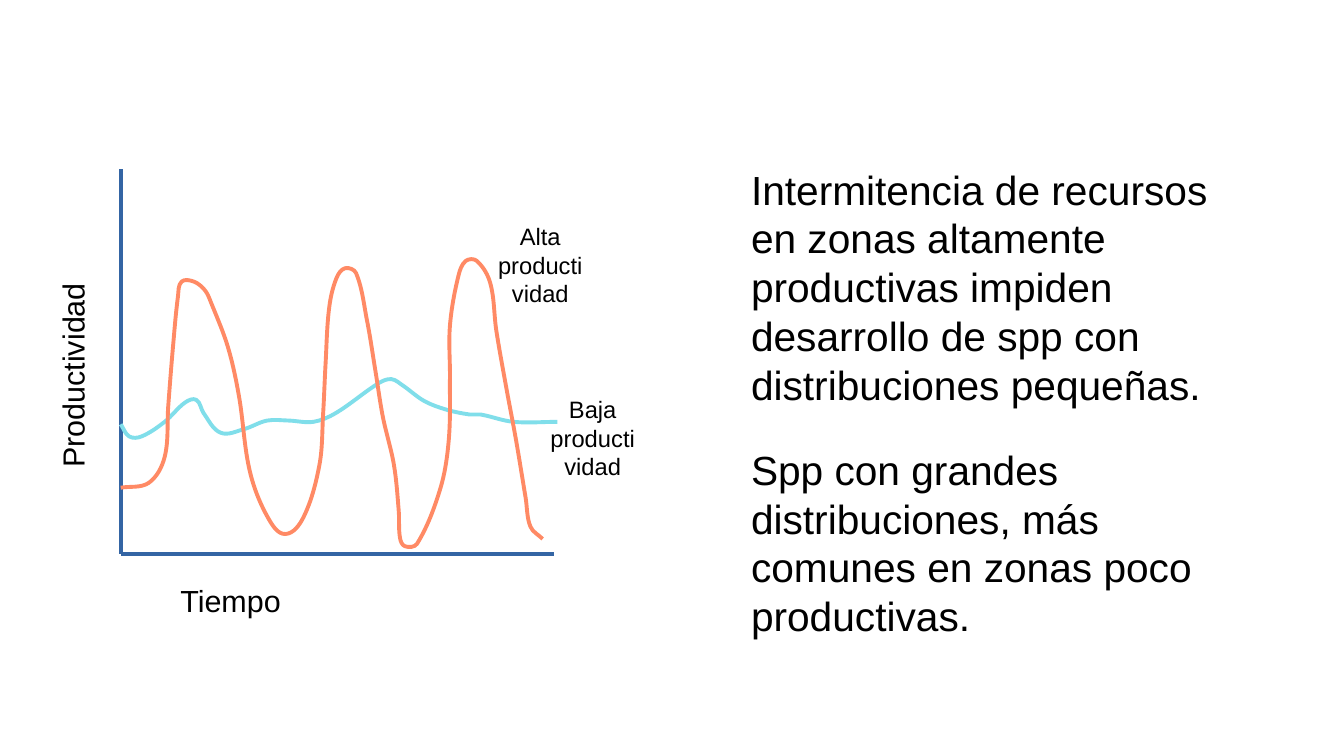
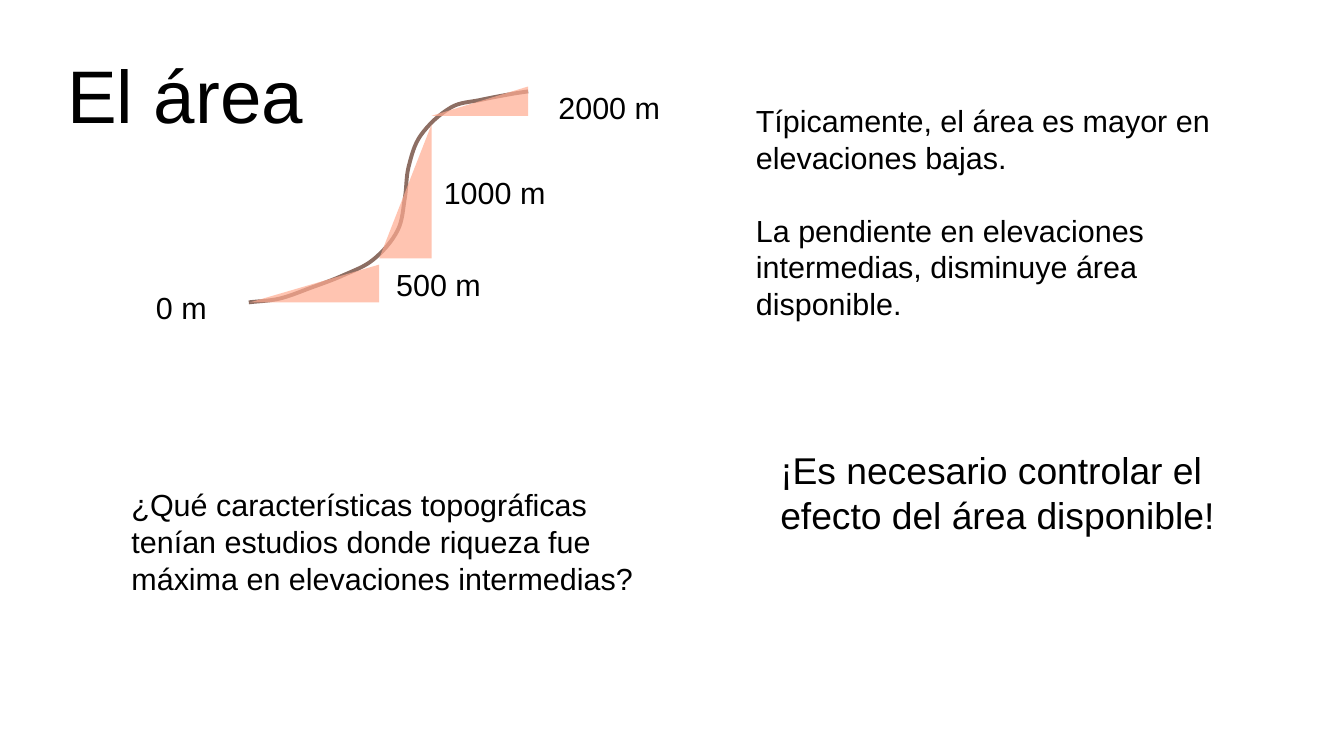
from itertools import pairwise
from math import dist

from lxml import etree
from pptx import Presentation
from pptx.dml.color import RGBColor
from pptx.enum.shapes import MSO_CONNECTOR, MSO_SHAPE
from pptx.enum.text import MSO_ANCHOR, MSO_AUTO_SIZE, PP_ALIGN
from pptx.oxml.ns import qn
from pptx.util import Inches, Pt

STRAIGHT = MSO_CONNECTOR.STRAIGHT
RIGHT_TRIANGLE = MSO_SHAPE.RIGHT_TRIANGLE
MIDDLE = MSO_ANCHOR.MIDDLE
GROW, FIXED = MSO_AUTO_SIZE.SHAPE_TO_FIT_TEXT, MSO_AUTO_SIZE.NONE
LEFT, CENTER = PP_ALIGN.LEFT, PP_ALIGN.CENTER

CELL = Inches(0.01)
COLS, ROWS = 1102, 620
TITLE_ONLY, BLANK = 5, 6

FONT = "Arial"
SIZES = {"title": 44, "large": 24, "callout": 22, "body": 18, "label": 14}
COLORS = {"text": "000000", "axis": "3465A4", "low": "80DEEA",
          "high": "FF8A65", "slope": "8D6E63", "step": "FFAB91"}
LINE_WIDTH = 2.3
PARAGRAPH_GAP = 21.5
STEP_OPACITY = 70

TEXT_WIDTH = 433
AXIS_LABEL_SIZE = (315, 38)
CURVE_LABEL_SIZE = (98, 98)
HEIGHT_LABEL_SIZE = (118, 39)

AXIS_TOP, ORIGIN, AXIS_END = (99, 139), (99, 454), (454, 454)

CURVES = {
    "low": [
        (99, 348), (106, 358), (116, 358), (135, 346), (152, 330), (161, 328),
        (167, 339), (181, 355), (200, 352), (219, 345), (237, 345), (257, 346),
        (275, 339), (311, 314), (321, 311), (330, 316), (348, 329), (366, 336),
        (385, 340), (394, 340), (421, 346), (457, 346),
    ],
    "high": [
        (99, 400), (122, 396), (135, 375), (138, 333), (142, 283), (146, 243),
        (149, 231), (159, 231), (168, 238), (173, 248), (187, 285), (196, 325),
        (205, 387), (220, 425), (234, 438), (249, 424), (262, 381), (265, 339),
        (267, 298), (270, 252), (276, 228), (283, 220), (292, 224), (301, 263),
        (308, 305), (314, 342), (323, 381), (327, 419), (328, 441), (332, 448),
        (342, 446), (361, 401), (368, 361), (369, 310), (369, 267), (376, 226),
        (382, 214), (391, 214), (402, 232), (407, 271), (415, 317), (423, 360),
        (431, 408), (435, 432), (445, 442),
    ],
    "slope": [
        (204, 248), (229, 245), (255, 236), (281, 226), (306, 213), (326, 189),
        (332, 162), (335, 137), (345, 111), (370, 88), (394, 82), (420, 77),
        (433, 75),
    ],
}

STEP_EDGES = (205, 311, 354, 433)
STEP_ROWS = ((217, 248), (102, 212), (71, 95))


def rgb(color):
    return RGBColor.from_string(color)


def grid(*cells):
    return [int(c * CELL) for c in cells]


def apply(target, values):
    for name, value in values.items():
        setattr(target, name, value)


def style_line(sp, color):
    sp.line.color.rgb = rgb(color)
    sp.line.width = Pt(LINE_WIDTH)


def write(tf, texts, size, align):
    for i, text in enumerate(texts):
        p = tf.add_paragraph() if i else tf.paragraphs[0]
        apply(p, {"alignment": align, "space_before": Pt(PARAGRAPH_GAP if i else 0)})
        r = p.add_run()
        r.text = text
        apply(r.font, {"name": FONT, "size": Pt(SIZES[size])})
        r.font.color.rgb = rgb(COLORS["text"])


def add_text(s, at, box_size, *texts, size="body", align=LEFT, rotation=0):
    sp = s.shapes.add_textbox(*grid(*at, *box_size))
    sp.rotation = rotation
    apply(sp.text_frame, {"word_wrap": True, "auto_size": GROW})
    write(sp.text_frame, texts, size, align)


def add_title(s, at, box_size, text):
    sp = s.shapes.title
    apply(sp, dict(zip(("left", "top", "width", "height"), grid(*at, *box_size))))
    margins = {f"margin_{side}": 0 for side in ("left", "right", "top", "bottom")}
    apply(sp.text_frame, {"vertical_anchor": MIDDLE, "auto_size": FIXED, **margins})
    write(sp.text_frame, [text], "title", LEFT)


def add_axis(s, start, end):
    sp = s.shapes.add_connector(STRAIGHT, *grid(*start, *end))
    style_line(sp, COLORS["axis"])
    etree.SubElement(sp._element.spPr, qn("a:effectLst"))


def direction(start, end):
    length = dist(start, end)
    return [(b - a) / length for a, b in zip(start, end)]


def move(point, heading, length):
    return tuple(c + h * length for c, h in zip(point, heading))


def bezier_points(points):
    before = points[:1] + points[:-1]
    after = points[1:] + points[-1:]
    headings = [direction(a, b) for a, b in zip(before, after)]
    for (start, start_heading), (end, end_heading) in pairwise(zip(points, headings)):
        handle = dist(start, end) / 3
        yield move(start, start_heading, handle)
        yield move(end, end_heading, -handle)
        yield end


def join_as_beziers(sp):
    segments = list(sp._element.iter(qn("a:lnTo")))
    for curve, second, third in zip(*[iter(segments)] * 3):
        curve.tag = qn("a:cubicBezTo")
        for segment in (second, third):
            curve.append(segment[0])
            segment.getparent().remove(segment)


def add_curve(s, name):
    to_emu = [grid(*point) for point in bezier_points(CURVES[name])]
    builder = s.shapes.build_freeform(*grid(*CURVES[name][0]))
    builder.add_line_segments(to_emu, close=False)
    sp = builder.convert_to_shape()
    join_as_beziers(sp)
    sp.shadow.inherit = False
    sp.fill.background()
    style_line(sp, COLORS[name])


def add_step(s, left, right, top, bottom):
    box = grid(left, top, right - left, bottom - top)
    sp = s.shapes.add_shape(RIGHT_TRIANGLE, *box)
    sp.shadow.inherit = False
    sp.line.fill.background()
    sp.fill.solid()
    sp.fill.fore_color.rgb = rgb(COLORS["step"])
    color = sp._element.spPr.find(qn("a:solidFill"))[0]
    etree.SubElement(color, qn("a:alpha"), val=str(STEP_OPACITY * 1000))
    sp._element.spPr.find(qn("a:xfrm")).set("flipH", "1")


def build_productivity(prs):
    s = prs.slides.add_slide(prs.slide_layouts[BLANK])
    for start, end in pairwise((AXIS_TOP, ORIGIN, AXIS_END)):
        add_axis(s, start, end)
    for name in ("low", "high"):
        add_curve(s, name)
    for at, label, rotation in (((138, 472), "Tiempo", 0),
                                ((-99, 217), "Productividad", 270)):
        add_text(s, at, AXIS_LABEL_SIZE, label, rotation=rotation)
    add_text(s, (606, 130), (TEXT_WIDTH, 372),
             "Intermitencia de recursos en zonas altamente productivas impiden "
             "desarrollo de spp con distribuciones pequeñas.",
             "Spp con grandes distribuciones, más comunes en zonas poco productivas.",
             size="large")
    for at, label in (((394, 177), "Alta productividad"),
                      ((437, 319), "Baja productividad")):
        add_text(s, at, CURVE_LABEL_SIZE, label, size="label", align=CENTER)


def build_area(prs):
    s = prs.slides.add_slide(prs.slide_layouts[TITLE_ONLY])
    add_title(s, (55, 25), (992, 104), "El área")
    add_curve(s, "slope")
    for at, label in (((448, 68), "2000 m"), ((354, 138), "1000 m"),
                      ((315, 213), "500 m"), ((118, 232), "0 m")):
        add_text(s, at, HEIGHT_LABEL_SIZE, label)
    for edges, rows in zip(pairwise(STEP_EDGES), STEP_ROWS):
        add_step(s, *edges, *rows)
    add_text(s, (610, 79), (413, 178),
             "Típicamente, el área es mayor en elevaciones bajas.",
             "La pendiente en elevaciones intermedias, disminuye área disponible.")
    add_text(s, (98, 394), (TEXT_WIDTH, 94),
             "¿Qué características topográficas tenían estudios donde riqueza fue "
             "máxima en elevaciones intermedias?")
    add_text(s, (630, 362), (394, 78),
             "¡Es necesario controlar el efecto del área disponible!",
             size="callout")


def main():
    prs = Presentation()
    prs.slide_width, prs.slide_height = grid(COLS, ROWS)
    build_productivity(prs)
    build_area(prs)
    prs.save("out.pptx")


if __name__ == "__main__":
    main()
